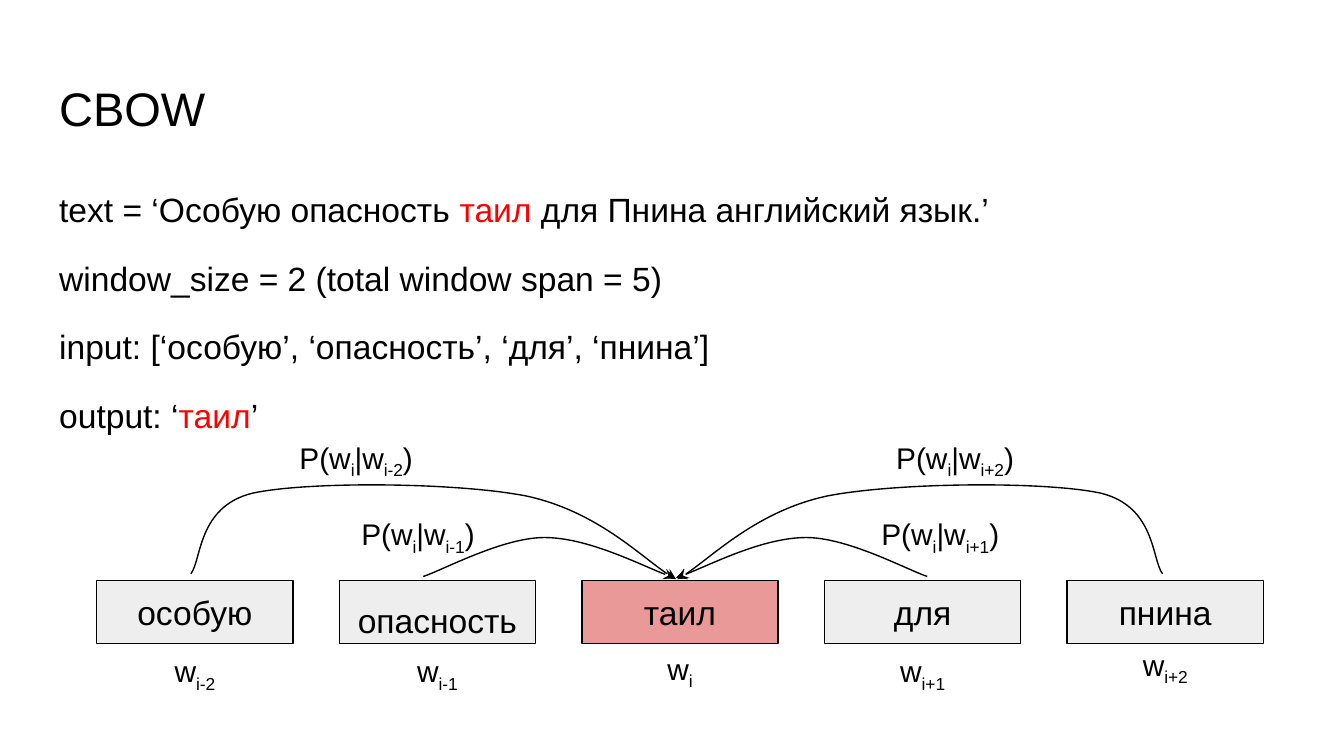
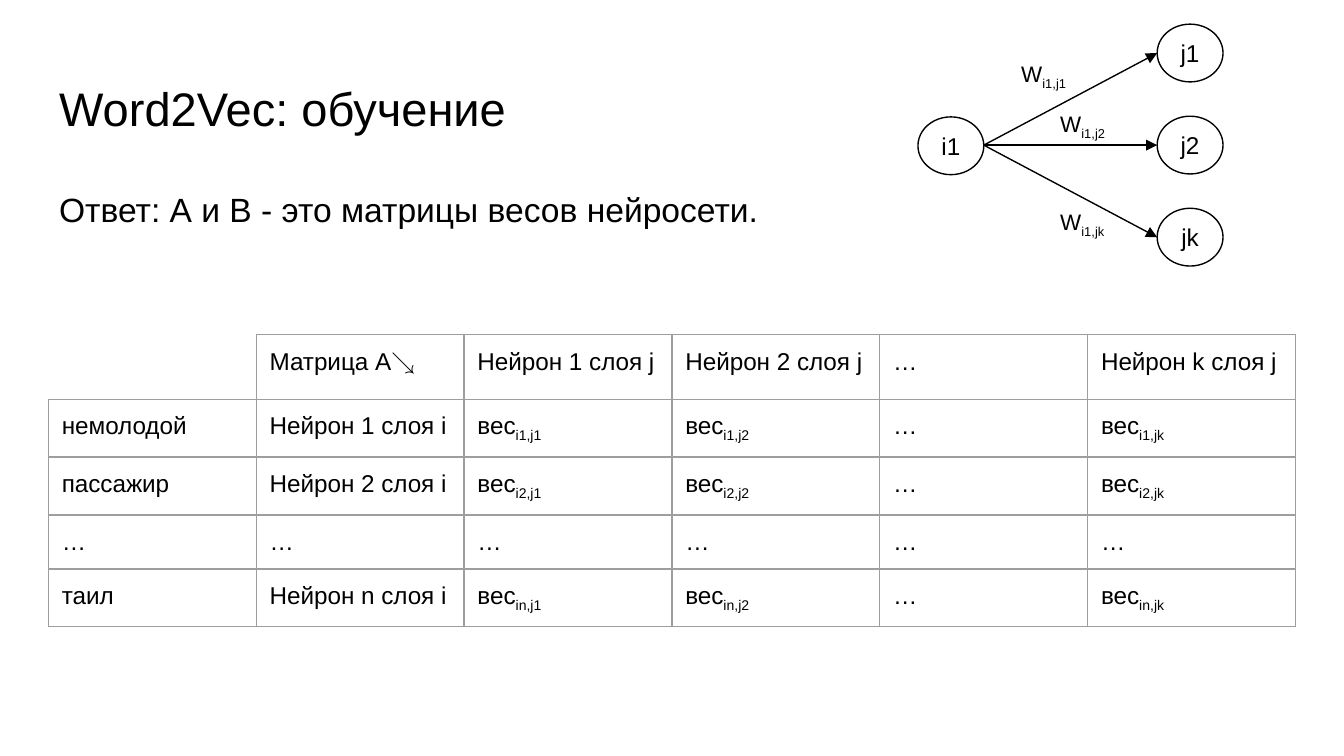
from lxml.etree import SubElement
from pptx import Presentation
from pptx.dml.color import RGBColor
from pptx.enum.shapes import MSO_CONNECTOR, MSO_SHAPE
from pptx.enum.text import MSO_ANCHOR, MSO_AUTO_SIZE, PP_ALIGN
from pptx.oxml.ns import qn
from pptx.util import Inches, Pt

BLACK = RGBColor(0x00, 0x00, 0x00)
RED = RGBColor(0xFF, 0x00, 0x00)
WORD_FILL = RGBColor(0xEE, 0xEE, 0xEE)
TARGET_FILL = RGBColor(0xEA, 0x99, 0x99)
GRID = RGBColor(0x9E, 0x9E, 0x9E)
FONT = "Arial"
LINE_WIDTH = Pt(0.75)

FRAME = {
    "word_wrap": True, "auto_size": MSO_AUTO_SIZE.NONE,
    "vertical_anchor": MSO_ANCHOR.TOP,
    "margin_left": Inches(0.1), "margin_right": Inches(0.1),
    "margin_top": Inches(0.1), "margin_bottom": Inches(0.1),
}
MIDDLE = {"vertical_anchor": MSO_ANCHOR.MIDDLE}
LEFT = {"alignment": PP_ALIGN.LEFT}
CENTERED = {"alignment": PP_ALIGN.CENTER}
BODY_LINE = {"alignment": PP_ALIGN.LEFT, "line_spacing": 1.15,
             "space_before": Pt(12), "space_after": Pt(0)}


def apply(target, values):
    for name, value in values.items():
        setattr(target, name, value)


def place(shape, left, top, width, height):
    apply(shape, {"left": Inches(left), "top": Inches(top),
                  "width": Inches(width), "height": Inches(height)})


def write(paragraph, text, size, values=LEFT):
    """Text between ~ marks is subscript, text between * marks is red."""
    apply(paragraph, values)
    for i, part in enumerate(text.split("~")):
        for j, piece in enumerate(part.split("*")):
            if not piece:
                continue
            run = paragraph.add_run()
            run.text = piece
            apply(run.font, {"name": FONT, "size": Pt(size)})
            run.font.color.rgb = RED if j % 2 else BLACK
            if i % 2:
                run.font._element.set("baseline", "-25000")
    if not text:
        SubElement(paragraph._p, qn("a:endParaRPr"), sz=str(size * 100))


def outline(line):
    line.color.rgb = BLACK
    line.width = LINE_WIDTH


def add_arrowhead(line, end, kind):
    SubElement(line._get_or_add_ln(), qn(f"a:{end}"), type=kind)


# Slide frame: title and body placeholders
def add_slide(prs, title, lines, body_height):
    slide = prs.slides.add_slide(prs.slide_layouts[1])
    heading, body = slide.placeholders
    place(heading, 0.34, 0.49, 9.32, 0.63)
    apply(heading.text_frame, FRAME)
    write(heading.text_frame.paragraphs[0], title, 25.2)

    place(body, 0.34, 1.26, 9.32, body_height)
    frame = body.text_frame
    apply(frame, FRAME)
    for i, text in enumerate(lines):
        paragraph = frame.add_paragraph() if i else frame.paragraphs[0]
        write(paragraph, text, 18, BODY_LINE)
        properties = paragraph._p.get_or_add_pPr()
        properties.set("marL", "0")
        properties.set("indent", "0")
        SubElement(properties, qn("a:buNone"))
    frame.paragraphs[0].space_before = Pt(0)
    frame.paragraphs[-1].space_after = Pt(12)
    return slide


def add_label(slide, box, text, size, frame_values=FRAME, values=LEFT):
    label = slide.shapes.add_textbox(*map(Inches, box))
    apply(label.text_frame, FRAME | frame_values)
    write(label.text_frame.paragraphs[0], text, size, values)


def add_node(slide, kind, box, text, size, fill=None, frame_values=MIDDLE,
             values=CENTERED):
    node = slide.shapes.add_shape(kind, *map(Inches, box))
    node.shadow.inherit = False
    if fill is None:
        node.fill.background()
    else:
        node.fill.solid()
        node.fill.fore_color.rgb = fill
    outline(node.line)
    apply(node.text_frame, FRAME | frame_values)
    write(node.text_frame.paragraphs[0], text, size, values)


def add_curve(slide, points):
    """A start point, then groups of three Bezier points."""
    points = [(Inches(x), Inches(y)) for x, y in points]
    builder = slide.shapes.build_freeform(*points[0])
    builder.add_line_segments(points[1:], close=False)
    curve = builder.convert_to_shape()
    curve.shadow.inherit = False
    curve.fill.background()
    outline(curve.line)
    add_arrowhead(curve.line, "headEnd", "stealth")
    # Turn every three straight segments into one cubic segment
    segments = list(curve._element.iter(qn("a:lnTo")))
    outline_element = segments[0].getparent()
    for i in range(0, len(segments), 3):
        bezier = SubElement(outline_element, qn("a:cubicBezTo"))
        for segment in segments[i:i + 3]:
            bezier.append(segment[0])
            outline_element.remove(segment)


def add_arrow(slide, start, end):
    arrow = slide.shapes.add_connector(
        MSO_CONNECTOR.STRAIGHT, *map(Inches, start + end))
    outline(arrow.line)
    add_arrowhead(arrow.line, "tailEnd", "triangle")
    SubElement(arrow._element.spPr, qn("a:effectLst"))


def set_borders(cell, visible):
    properties = cell._tc.get_or_add_tcPr()
    for side in "LRTB":
        border = SubElement(properties, qn(f"a:ln{side}"), w=str(LINE_WIDTH))
        if side in visible:
            fill = SubElement(border, qn("a:solidFill"))
            SubElement(fill, qn("a:srgbClr"), val=str(GRID))
        else:
            SubElement(border, qn("a:noFill"))


def add_weight_table(slide, rows, heights):
    table_width = 9.28
    table = slide.shapes.add_table(
        len(rows), len(rows[0]), Inches(0.36), Inches(2.49),
        Inches(table_width), Inches(sum(heights))).table
    apply(table, {"first_row": False, "horz_banding": False})
    for column in table.columns:
        column.width = Inches(table_width / len(rows[0]))
    for r, (texts, height) in enumerate(zip(rows, heights)):
        table.rows[r].height = Inches(height)
        for c, text in enumerate(texts):
            cell = table.cell(r, c)
            apply(cell, {name: value for name, value in FRAME.items()
                         if name.startswith("margin")})
            set_borders(cell, "LRTB" if text else "RB")
            cell.fill.background()
            write(cell.text_frame.paragraphs[0], text, 13)


def build_cbow(prs):
    slide = add_slide(prs, "CBOW", [
        "text = ‘Особую опасность *таил* для Пнина английский язык.’",
        "window_size = 2 (total window span = 5)",
        "input: [‘особую’, ‘опасность’, ‘для’, ‘пнина’]",
        "output: ‘*таил*’",
    ], 2.17)

    # Window words and their indices
    window = [("особую", "i-2", 4.89, 0.59), ("опасность", "i-1", 4.89, 0.59),
              ("таил", "i", 4.87, 0.42), ("для", "i+1", 4.89, 0.59),
              ("пнина", "i+2", 4.84, 0.59)]
    width = 1.46
    pitch = (7.94 - 0.72) / 4
    for n, (word, index, label_top, label_width) in enumerate(window):
        left = 0.72 + n * pitch
        style = {}
        if word == "опасность":
            style = {"frame_values": FRAME,
                     "values": CENTERED | {"line_spacing": 1.15,
                                           "space_after": Pt(12)}}
        add_node(slide, MSO_SHAPE.RECTANGLE, (left, 4.32, width, 0.47), word,
                 18, TARGET_FILL if index == "i" else WORD_FILL, **style)
        add_label(slide, (left + (width - label_width) / 2, label_top,
                          label_width, 0.24),
                  f"w~{index}~", 16, MIDDLE, CENTERED)

    # Curves from the context words, mirrored about the target word
    near = [(5.03, 4.3), (5.19, 4.25), (5.68, 4), (6, 4),
            (6.31, 4), (6.75, 4.24), (6.9, 4.29)]
    far = [(5.04, 4.31), (5.23, 4.21), (5.64, 3.8), (6.16, 3.69),
           (6.68, 3.59), (7.77, 3.58), (8.19, 3.67),
           (8.6, 3.77), (8.57, 4.17), (8.65, 4.27)]
    for points, mirror_sum in ((near, 10.05), (far, 10.07)):
        add_curve(slide, points)
        add_curve(slide, [(mirror_sum - x, y) for x, y in points])

    # Conditional probabilities
    for left, top, width, index in [
            (2.13, 3.17, 1.13, "i-2"), (6.57, 3.17, 1.46, "i+2"),
            (2.59, 3.74, 1.13, "i-1"), (6.46, 3.74, 1.13, "i+1")]:
        add_label(slide, (left, top, width, 0.37), f"P(w~i~|w~{index}~)", 16)


def build_training(prs):
    slide = add_slide(prs, "Word2Vec: обучение",
                      ["Ответ: А и В - это матрицы весов нейросети."], 0.52)

    # Weight matrix
    outputs = ["1", "2", "…", "k"]
    rows = [["", "Матрица А↘"]
            + [j if j == "…" else f"Нейрон {j} слоя j" for j in outputs]]
    for word, i in [("немолодой", "1"), ("пассажир", "2"), ("…", "…"),
                    ("таил", "n")]:
        if i == "…":
            rows.append(["…"] * len(rows[0]))
            continue
        rows.append([word, f"Нейрон {i} слоя i"]
                    + [j if j == "…" else f"вес~i{i},j{j}~" for j in outputs])
    add_weight_table(slide, rows, [0.48, 0.43, 0.43, 0.4, 0.43])

    # Network: one input neuron joined to the output neurons
    width, height = 0.49, 0.43
    add_node(slide, MSO_SHAPE.OVAL, (6.83, 0.87, width, height), "i1", 13)
    for n, (name, label_left, label_top) in enumerate(
            [("j1", 7.5, 0.35), ("j2", 7.79, 0.72), ("jk", 7.79, 1.45)]):
        top = 0.18 + n * (1.55 - 0.18) / 2
        add_node(slide, MSO_SHAPE.OVAL, (8.61, top, width, height), name, 13)
        add_arrow(slide, (7.32, 1.08), (8.61, top + height / 2))
        add_label(slide, (label_left, label_top, 0.72, 0.32),
                  f"W~i1,{name}~", 12)


def main():
    prs = Presentation()
    # Widescreen, 16 to 9
    apply(prs, {"slide_width": Inches(10), "slide_height": Inches(10 * 9 / 16)})
    build_cbow(prs)
    build_training(prs)
    prs.save("out.pptx")


if __name__ == "__main__":
    main()
